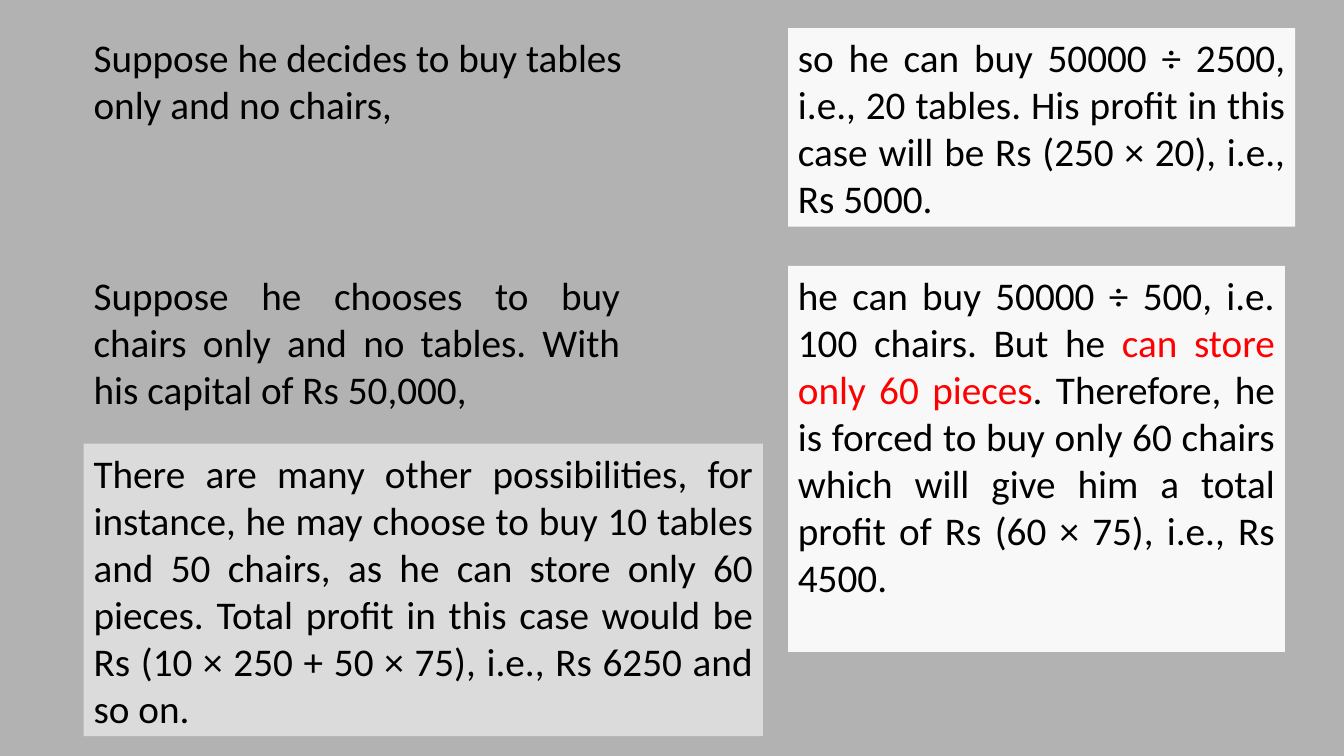
from pptx import Presentation
from pptx.dml.color import RGBColor
from pptx.enum import shapes, text
from pptx.util import Cm, Pt

GREY = RGBColor(0xB2, 0xB2, 0xB2)
LIGHT = RGBColor(0xDB, 0xDB, 0xDB)
PALE = RGBColor(0xF8, 0xF8, 0xF8)
BLACK = RGBColor(0, 0, 0)
RED = RGBColor(0xFF, 0, 0)

LEFT, RIGHT = 2.11, 19.86
TOP, MIDDLE, BOTTOM = 0.71, 6.7, 11.18
START, JUSTIFY = text.PP_ALIGN.LEFT, text.PP_ALIGN.JUSTIFY

tables_choice = [("Suppose he decides to buy tables only and no chairs,", BLACK)]
tables_profit = [("so he can buy 50000 ÷ 2500, i.e., 20 tables. His profit in this case "
                  "will be Rs (250 × 20), i.e., Rs 5000.", BLACK)]
chairs_choice = [("Suppose he chooses to buy chairs only and no tables. "
                  "With his capital of Rs 50,000,", BLACK)]
chairs_profit = [("he can buy 50000 ÷ 500, i.e. 100 chairs. But he ", BLACK),
                 ("can store only 60 pieces", RED),
                 (". Therefore, he is forced to buy only 60 chairs which will give him "
                  "a total profit of Rs (60 × 75), i.e., Rs 4500.", BLACK)]
mixed_choice = [("There are many other possibilities, for instance, he may choose to buy "
                 "10 tables and 50 chairs, as he can store only 60 pieces. Total profit in "
                 "this case would be Rs (10 × 250 + 50 × 75), i.e., Rs 6250 and so on.", BLACK)]

passages = [
    (LEFT, TOP, 14.86, 2.62, None, START, tables_choice),
    (RIGHT, TOP, 12.78, 5, PALE, JUSTIFY, tables_profit),
    (LEFT, MIDDLE, 13.77, 3.81, None, JUSTIFY, chairs_choice),
    (RIGHT, MIDDLE, 12.52, 9.73, PALE, JUSTIFY, chairs_profit),
    (LEFT, BOTTOM, 17.12, 7.37, LIGHT, JUSTIFY, mixed_choice),
]
frame_format = {
    "word_wrap": True,
    "auto_size": text.MSO_AUTO_SIZE.NONE,
    "vertical_anchor": text.MSO_ANCHOR.TOP,
    "margin_left": Cm(0.25),
    "margin_right": Cm(0.25),
    "margin_top": Cm(0.13),
    "margin_bottom": Cm(0.13),
}

deck = Presentation()
deck.slide_width, deck.slide_height = Cm(33.87), Cm(19.05)
slide = deck.slides.add_slide(deck.slide_layouts[6])
slide.background.fill.solid()
slide.background.fill.fore_color.rgb = GREY

for left, top, width, height, fill, alignment, wording in passages:
    place = Cm(left), Cm(top), Cm(width), Cm(height)
    if fill is None:
        passage = slide.shapes.add_textbox(*place)
    else:
        passage = slide.shapes.add_shape(shapes.MSO_SHAPE.RECTANGLE, *place)
        passage.shadow.inherit = False
        passage.fill.solid()
        passage.fill.fore_color.rgb = fill
        passage.line.fill.background()
    for setting, value in frame_format.items():
        setattr(passage.text_frame, setting, value)
    paragraph = passage.text_frame.paragraphs[0]
    paragraph.alignment = alignment
    for words, colour in wording:
        run = paragraph.add_run()
        run.text = words
        run.font.name = "Calibri"
        run.font.size = Pt(28)
        run.font.color.rgb = colour

deck.save("out.pptx")
